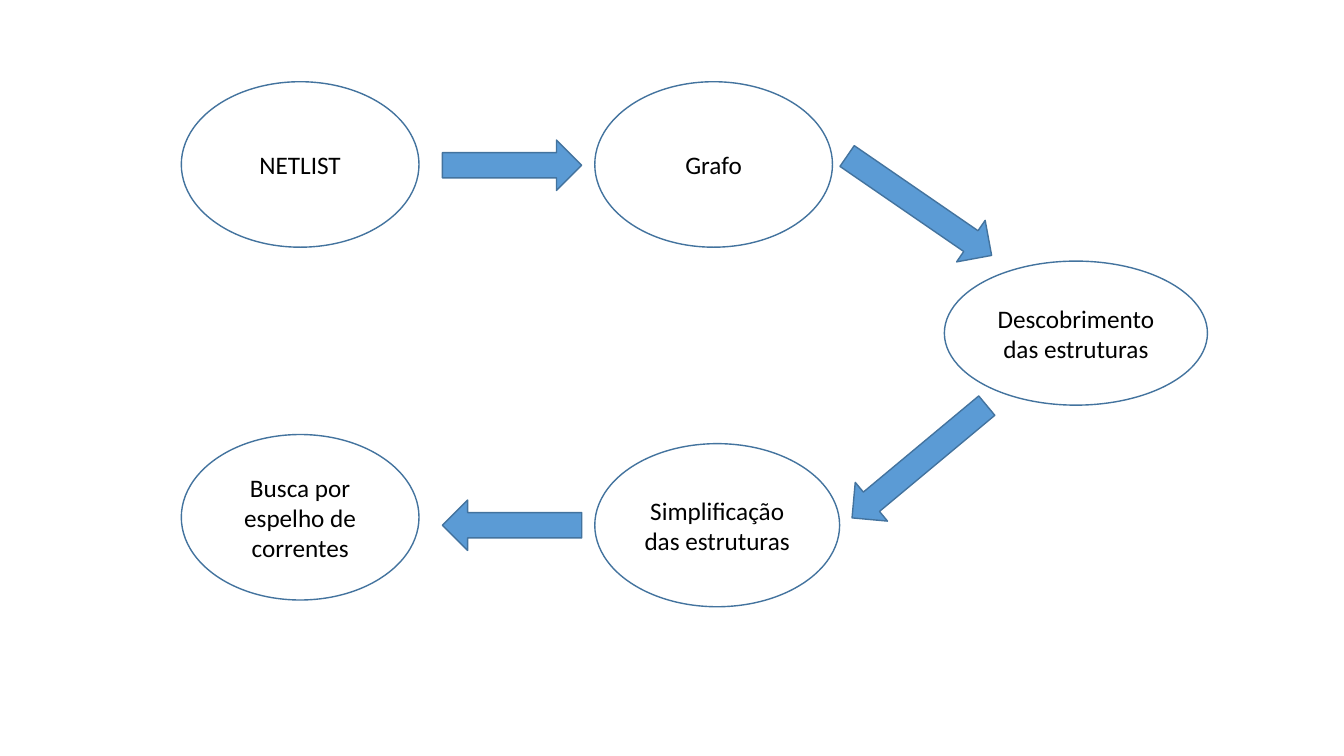
from dataclasses import dataclass

from pptx import Presentation
from pptx import util as u
from pptx.dml.color import RGBColor
from pptx.enum import shapes, text


@dataclass(frozen=True)
class Theme:
    """Colours, font and sizes of the slide."""
    fill: RGBColor = RGBColor(0x5B, 0x9B, 0xD5)
    line: RGBColor = RGBColor(0x43, 0x73, 0x9E)
    ink: RGBColor = RGBColor(0, 0, 0)
    font: str = "Calibri"
    size: int = 18
    line_width: int = 1


@dataclass(frozen=True)
class Step:
    """An oval step of the flow, in centimetres."""
    label: str
    left: float
    top: float
    width: float = 5.99
    height: float = 4.17


@dataclass(frozen=True)
class Arrow:
    """A block arrow between two steps, in centimetres and degrees."""
    left: float
    top: float
    width: float
    rotation: float = 0
    height: float = 1.27


THEME = Theme()
COL_1, COL_2, COL_3 = 4.57, 14.99, 23.8
ARROW_COL_1, ARROW_COL_2 = 11.15, 20.96
SHORT, LONG = 3.51, 4.42

STEPS = [
    Step("NETLIST", COL_1, 2.06),
    Step("Grafo", COL_2, 2.06),
    Step("Descobrimento das estruturas", COL_3, 6.58, 6.63, 3.63),
    Step("Simplificação das estruturas", COL_2, 11.18, 6.17, 4.11),
    Step("Busca por espelho de correntes", COL_1, 10.95),
]
ARROWS = [
    Arrow(ARROW_COL_1, 3.53, SHORT),
    Arrow(ARROW_COL_2, 4.55, LONG, 34.5),
    Arrow(ARROW_COL_2, 11.0, LONG, 140.2),
    Arrow(ARROW_COL_1, 12.6, SHORT, 180),
]


def add_outlined(s, kind, box: Step | Arrow):
    """Add a preset shape in the given box with the common outline."""
    sp = s.shapes.add_shape(kind, u.Cm(box.left), u.Cm(box.top),
                            u.Cm(box.width), u.Cm(box.height))
    sp.shadow.inherit = False
    sp.line.color.rgb = THEME.line
    sp.line.width = u.Pt(THEME.line_width)
    return sp


def write(sp, label: str, *, size: int = THEME.size,
          color: RGBColor = THEME.ink, font: str = THEME.font) -> None:
    """Write centred text into a shape."""
    tf = sp.text_frame
    tf.word_wrap = True
    tf.vertical_anchor = text.MSO_ANCHOR.MIDDLE
    p = tf.paragraphs[0]
    p.alignment = text.PP_ALIGN.CENTER
    r = p.add_run()
    r.text = label
    r.font.name, r.font.size = font, u.Pt(size)
    r.font.color.rgb = color


def add_step(s, step: Step) -> None:
    """Draw one unfilled oval with its label."""
    sp = add_outlined(s, shapes.MSO_SHAPE.OVAL, step)
    sp.fill.background()
    write(sp, step.label)


def add_arrow(s, arrow: Arrow) -> None:
    """Draw one filled block arrow, turned to its direction."""
    sp = add_outlined(s, shapes.MSO_SHAPE.RIGHT_ARROW, arrow)
    sp.fill.solid()
    sp.fill.fore_color.rgb = THEME.fill
    sp.rotation = arrow.rotation


def main() -> None:
    """Build and save the flow slide."""
    prs = Presentation()
    prs.slide_width, prs.slide_height = u.Cm(33.87), u.Cm(19.05)
    s = prs.slides.add_slide(prs.slide_layouts.get_by_name("Blank"))
    for step in STEPS:
        add_step(s, step)
    for arrow in ARROWS:
        add_arrow(s, arrow)
    prs.save("out.pptx")


main()
